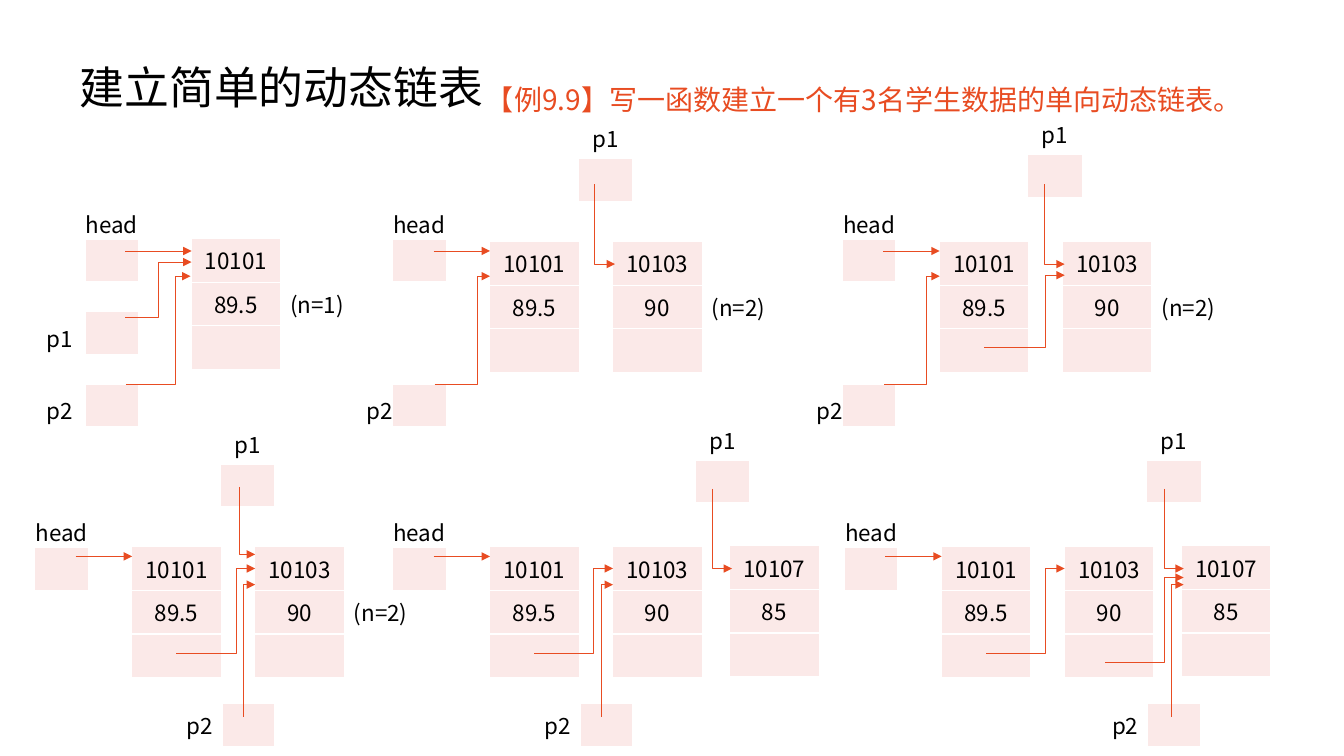
from lxml.etree import SubElement
from pptx import Presentation
from pptx.dml.color import RGBColor
from pptx.enum.shapes import MSO_CONNECTOR as CONN
from pptx.enum.text import MSO_ANCHOR as ANCHOR, MSO_AUTO_SIZE as AUTO, PP_ALIGN as ALIGN
from pptx.oxml.ns import qn
from pptx.util import Inches, Pt

FONT = "Noto Sans CJK SC"
NO_GRID = "{2D5ABB26-0587-4C30-8999-92F81FD0307C}"
BLACK, ORANGE, PINK, WHITE = "000000", "E84C22", "FBE9E8", "FFFFFF"
BOX, ROW, GAP, NODE_W, NODE_H = 0.52, 0.41, 0.31, 0.88, 0.43
NODE_XS = (0.96, 2.18, 3.34)
STUDENTS = (("10101", "89.5"), ("10103", "90"), ("10107", "85"))


def rgb(value):
    return RGBColor.from_string(value)


def add_run(p, text, size, color=BLACK):
    r = p.add_run()
    r.text = text
    r.font.size = Pt(size)
    r.font.name = FONT
    r.font.color.rgb = rgb(color)
    SubElement(r._r.get_or_add_rPr(), qn("a:ea"), typeface=FONT)


def add_grid(s, x, y, cols, rows):
    frame = s.shapes.add_table(len(rows), len(cols), Inches(x), Inches(y),
                               Inches(sum(cols)), Inches(sum(rows)))
    table = frame.table
    table.first_row = table.horz_banding = False
    table._tbl.tblPr.find(qn("a:tableStyleId")).text = NO_GRID
    for col, width in zip(table.columns, cols):
        col.width = Inches(width)
    for row, height in zip(table.rows, rows):
        row.height = Inches(height)
    for cell in table.iter_cells():
        cell.fill.background()
        SubElement(cell.text_frame.paragraphs[0]._p, qn("a:endParaRPr"), sz="800")
    return table


def shade(cell, ruled=False):
    cell.fill.solid()
    cell.fill.fore_color.rgb = rgb(PINK)
    if ruled:
        tcPr = cell._tc.get_or_add_tcPr()
        ln = SubElement(tcPr, qn("a:lnB"), w=str(Pt(1)))
        SubElement(SubElement(ln, qn("a:solidFill")), qn("a:srgbClr"), val=WHITE)
        tcPr.insert(0, ln)


def write(cell, text, align=ALIGN.CENTER, anchor=ANCHOR.TOP, tight=False):
    p = cell.text_frame.paragraphs[0]
    p.alignment = align
    add_run(p, text, 16)
    cell.vertical_anchor = anchor
    if tight:
        cell.margin_left = cell.margin_right = cell.margin_top = cell.margin_bottom = 0


def style_arrow(shape):
    shape.line.color.rgb = rgb(ORANGE)
    shape.line.width = Pt(0.5)
    spPr = shape._element.spPr
    SubElement(spPr.find(qn("a:ln")), qn("a:tailEnd"), type="triangle")
    return spPr


def add_link(s, x, y, kind, start, end):
    ends = [Inches(v) for v in (x + start[0], y + start[1], x + end[0], y + end[1])]
    SubElement(style_arrow(s.shapes.add_connector(kind, *ends)), qn("a:effectLst"))


def add_path(s, x, y, *points):
    pts = [(Inches(x + px), Inches(y + py)) for px, py in points]
    builder = s.shapes.build_freeform(*pts[0], scale=1.0)
    builder.add_line_segments(pts[1:], close=False)
    shape = builder.convert_to_shape()
    shape.fill.background()
    shape.shadow.inherit = False
    style_arrow(shape)


def add_node(s, x, y, student, note=None):
    cols = [NODE_W] * (2 if note else 1)
    table = add_grid(s, x, y, cols, [NODE_H] * 3)
    for i in range(3):
        shade(table.cell(i, 0), ruled=i < 2)
    for i, value in enumerate(student):
        write(table.cell(i, 0), value)
    if note:
        write(table.cell(1, 1), note, ALIGN.LEFT)


def add_pointers(s, x, y, labels=(), align=ALIGN.CENTER):
    side = 1 if labels else 0
    table = add_grid(s, x - BOX * side, y, [BOX] * (side + 1), [ROW, ROW] + [GAP, ROW] * 2)
    write(table.cell(0, side), "head", anchor=ANCHOR.BOTTOM, tight=True)
    shade(table.cell(1, side))
    for row, label in zip((3, 5), labels):
        if label:
            write(table.cell(row, 0), label, align, ANCHOR.BOTTOM, True)
            shade(table.cell(row, 1))


def add_p1(s, x, y):
    table = add_grid(s, x, y, [0.53], [ROW, ROW])
    write(table.cell(0, 0), "p1", anchor=ANCHOR.BOTTOM)
    shade(table.cell(1, 0))


def add_p2(s, x, y):
    table = add_grid(s, x, y, [0.55, 0.51], [ROW])
    write(table.cell(0, 0), "p2", ALIGN.RIGHT)
    shade(table.cell(0, 1))


def first_panel(s, x, y):
    add_pointers(s, x, y, ["p1", "p2"])
    add_node(s, x + 1.05, y + 0.4, STUDENTS[0], "(n=1)")
    add_link(s, x, y, CONN.STRAIGHT, (0.39, 0.52), (1.05, 0.52))
    add_link(s, x, y, CONN.ELBOW, (0.39, 1.18), (1.05, 0.63))
    add_path(s, x, y, (0.4, 1.84), (0.89, 1.84), (0.89, 0.77), (1.04, 0.77))


def upper_panel(s, x, y, p1_y, linked):
    add_pointers(s, x, y, [None, "p2"], ALIGN.RIGHT)
    for nx, student, note in zip(NODE_XS, STUDENTS[:2], (None, "(n=2)")):
        add_node(s, x + nx, y + 0.43, student, note)
    add_link(s, x, y, CONN.STRAIGHT, (0.4, 0.52), (0.96, 0.52))
    add_path(s, x, y, (0.41, 1.84), (0.83, 1.84), (0.83, 0.77), (0.96, 0.77))
    add_p1(s, x + 1.84, y + p1_y)
    add_path(s, x, y, (2, -0.14), (2, 0.65), (2.2, 0.65))
    if linked:
        add_path(s, x, y, (1.4, 1.48), (2.01, 1.48), (2.01, 0.76), (2.2, 0.76))


def lower_panel(s, x, y, count, note, p1, p1_path, p2_x, links):
    add_p2(s, x + p2_x, y + 1.95)
    add_pointers(s, x, y)
    for i in range(count):
        add_node(s, x + NODE_XS[i], y + (0.4 if i < 2 else 0.39),
                 STUDENTS[i], note if i == count - 1 else None)
    add_link(s, x, y, CONN.STRAIGHT, (0.4, 0.49), (0.96, 0.49))
    add_p1(s, x + p1[0], y + p1[1])
    (px, top), (end, low) = p1_path
    add_path(s, x, y, (px, top), (px, low), (end, low))
    stem = p2_x + 0.75 if p2_x < 2 else p2_x + 0.78
    add_path(s, x, y, (stem, 2.08), (stem, 0.77), (stem + 0.12, 0.77))
    for i in range(links):
        lx, ly = 1.4 + 1.18 * i, 0.61 + 0.09 * i
        add_path(s, x, y, (lx, ly + 0.84), (lx + 0.59, ly + 0.84),
                 (lx + 0.59, ly), (lx + 0.78, ly))


def place_text(shape, box, text, size, color, spacing):
    shape.left, shape.top, shape.width, shape.height = map(Inches, box)
    tf = shape.text_frame
    tf.word_wrap = True
    tf.auto_size = AUTO.NONE
    p = tf.paragraphs[0]
    p.alignment = ALIGN.LEFT
    p.line_spacing = spacing
    add_run(p, text, size, color)
    return tf


def heading(s):
    title, body = s.placeholders
    tf = place_text(title, (0.69, 0.37, 11.5, 1.04), "建立简单的动态链表", 32, BLACK, 0.9)
    tf.vertical_anchor = ANCHOR.MIDDLE
    tf = place_text(body, (4.72, 0.7, 7.79, 0.6),
                    "【例9.9】写一函数建立一个有3名学生数据的单向动态链表。", 20, ORANGE, 1.2)
    tf.margin_right = 0
    p = tf.paragraphs[0]
    p.space_before = Pt(10)
    pPr = p._p.get_or_add_pPr()
    pPr.set("marL", str(Inches(0.1)))
    pPr.set("indent", str(-Inches(0.1)))
    SubElement(pPr, qn("a:buNone"))


def main():
    prs = Presentation()
    prs.slide_width, prs.slide_height = Inches(13.33), Inches(7.5)
    s = prs.slides.add_slide(prs.slide_layouts[1])
    s.background.fill.solid()
    s.background.fill.fore_color.rgb = rgb(WHITE)
    heading(s)
    first_panel(s, 0.85, 1.97)
    upper_panel(s, 3.9, 1.97, -0.81, False)
    upper_panel(s, 8.36, 1.97, -0.85, True)
    lower_panel(s, 0.35, 5.03, 2, "(n=2)", (1.84, -0.84), ((2.02, -0.2), (2.18, 0.47)), 1.31, 1)
    for x, links in ((3.9, 1), (8.38, 2)):
        lower_panel(s, x, 5.03, 3, None, (3, -0.88), ((3.17, -0.18), (3.36, 0.61)),
                    1.31 if links == 1 else 2.46, links)
    prs.save("out.pptx")


if __name__ == "__main__":
    main()
